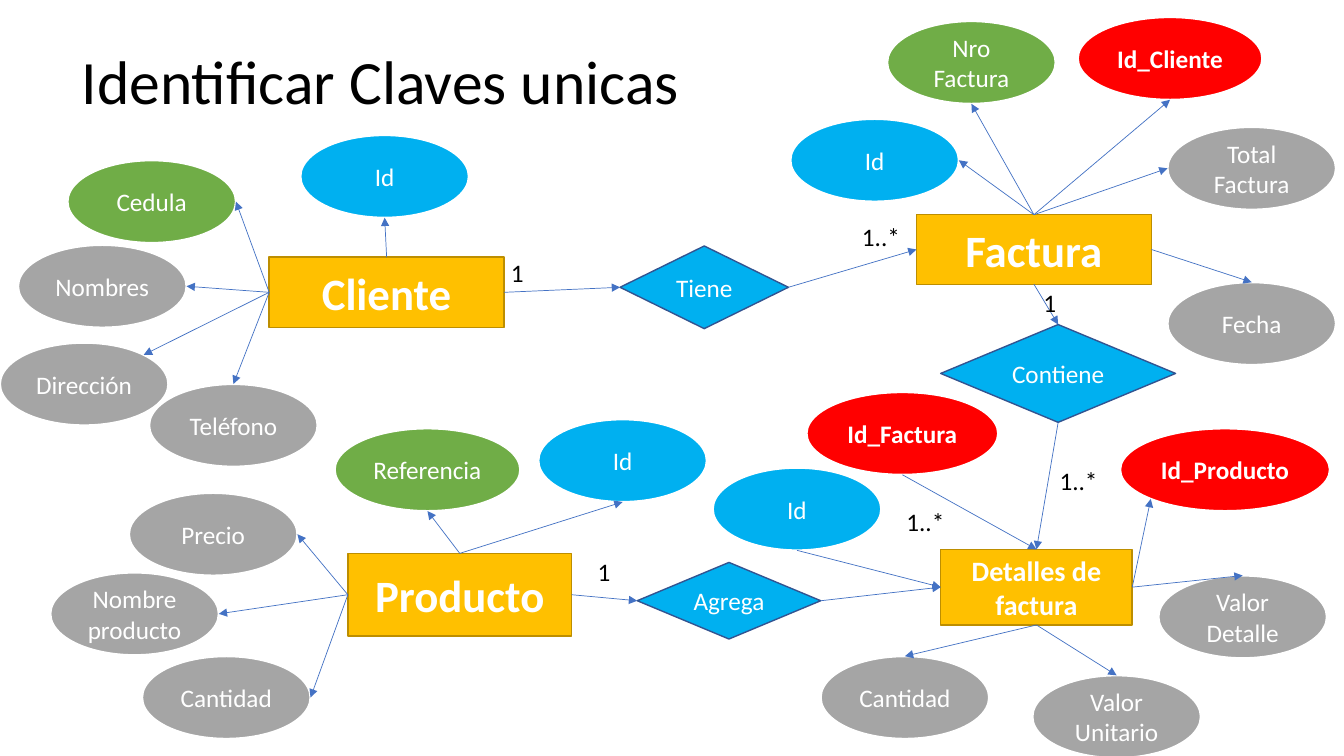
from dataclasses import dataclass
from lxml.etree import SubElement
from pptx import Presentation
from pptx.dml.color import RGBColor
from pptx.enum.shapes import MSO_CONNECTOR, MSO_SHAPE
from pptx.enum.text import MSO_ANCHOR, MSO_AUTO_SIZE, PP_ALIGN
from pptx.oxml.ns import qn
from pptx.util import Pt

PX = 9144


@dataclass(frozen=True)
class Theme:
    font: str = "Calibri"
    black: str = "000000"
    white: str = "FFFFFF"
    entity: str = "FFC000"
    entity_line: str = "BD8E00"
    relation: str = "00B0F0"
    relation_line: str = "325491"
    arrow: str = "4472C4"
    id: str = "00B0F0"
    unique: str = "70AD47"
    foreign: str = "FF0000"
    plain: str = "A5A5A5"
    title_size: int = 44
    entity_size: int = 32
    small_entity_size: int = 20
    text_size: int = 18


T = Theme()

OVAL_W, OVAL_H = 167, 82
DIAGONAL = 0.146
SITES = {
    "top": (0.5, 0), "left": (0, 0.5), "bottom": (0.5, 1), "right": (1, 0.5),
    "top right": (1 - DIAGONAL, DIAGONAL), "bottom left": (DIAGONAL, 1 - DIAGONAL),
}
BOX_SITES = ["top", "left", "bottom", "right"]
OVAL_SITES = ["top", "top left", "left", "bottom left",
              "bottom", "bottom right", "right", "top right"]

ENTITIES = {
    "Cliente": ((267, 255, 233, 70), T.entity_size, [
        ("Nombres", T.plain, -249, -12, OVAL_W, "left", "right"),
        ("Dirección", T.plain, -267, 85, OVAL_W, "left", "top right"),
        ("Teléfono", T.plain, -119, 126, OVAL_W, "left", "top"),
        ("Cedula", T.unique, -200, -96, OVAL_W, "left", "right"),
        ("Id", T.id, 31, -121, OVAL_W, "top", "bottom"),
    ]),
    "Factura": ((909, 213, 233, 69), T.entity_size, [
        ("Id_Cliente", T.foreign, 160, -196, 183, "top", "bottom"),
        ("Nro Factura", T.unique, -29, -192, OVAL_W, "top", "bottom"),
        ("Fecha", T.plain, 249, 67, OVAL_W, "right", "top"),
        ("Total Factura", T.plain, 249, -87, OVAL_W, "top", "left"),
        ("Id", T.id, -125, -95, OVAL_W, "top", "right"),
    ]),
    "Detalles de factura": ((933, 545, 190, 75), T.small_entity_size, [
        ("Cantidad", T.plain, -119, 106, OVAL_W, "bottom", "top"),
        ("Id_Producto", T.foreign, 178, -120, 208, "right", "bottom left"),
        ("Valor Unitario", T.plain, 91, 125, OVAL_W, "bottom", "top"),
        ("Valor Detalle", T.plain, 216, 26, OVAL_W, "right", "top"),
        ("Id", T.id, -226, -81, OVAL_W, "left", "bottom"),
        ("Id_Factura", T.foreign, -133, -156, 190, "top", "bottom"),
    ]),
    "Producto": ((345, 549, 222, 82), T.entity_size, [
        ("Nombre producto", T.plain, -295, 19, OVAL_W, "left", "right"),
        ("Cantidad", T.plain, -204, 102, OVAL_W, "left", "right"),
        ("Precio", T.plain, -217, -60, OVAL_W, "left", "right"),
        ("Referencia", T.unique, -13, -124, 184, "top", "bottom"),
        ("Id", T.id, 189, -133, OVAL_W, "top", "bottom"),
    ]),
}
INWARD = {("Detalles de factura", "Id"), ("Detalles de factura", "Id_Factura")}

RELATIONS = [
    ("Tiene", (615, 244, 167, 82), ("Cliente", "right", "left"),
     ("Factura", "right", "left"), [("1", -118, 6), ("1..*", 230, -29)]),
    ("Contiene", (933, 322, 233, 97), ("Factura", "bottom", "top"),
     ("Detalles de factura", "bottom", "top"), [("1", 92, -42), ("1..*", 108, 135)]),
    ("Agrega", (632, 558, 182, 76), ("Producto", "right", "left"),
     ("Detalles de factura", "right", "left"), [("1", -49, -11), ("1..*", 257, -61)]),
]


def emu(*lengths):
    return [n * PX for n in lengths]


def rgb(color):
    return RGBColor.from_string(color)


def write(tf, text, size, color, bold=False, align=PP_ALIGN.LEFT):
    tf.text = text
    p = tf.paragraphs[0]
    p.alignment = align
    p.font.name, p.font.size, p.font.bold = T.font, Pt(size), bold
    p.font.color.rgb = rgb(color)
    return p


def add_node(s, kind, box, text, fill, line, width, size=T.text_size, bold=False):
    sp = s.shapes.add_shape(kind, *emu(*box))
    sp.shadow.inherit = False
    sp.fill.solid()
    sp.fill.fore_color.rgb = rgb(fill)
    sp.line.color.rgb = rgb(line)
    sp.line.width = Pt(width)
    sp.text_frame.word_wrap = True
    sp.text_frame.vertical_anchor = MSO_ANCHOR.MIDDLE
    write(sp.text_frame, text, size, T.white, bold, PP_ALIGN.CENTER)
    return sp


def site_point(sp, side):
    fx, fy = SITES[side]
    return round(sp.left + fx * sp.width), round(sp.top + fy * sp.height)


def add_arrow(s, start, end):
    cxn = s.shapes.add_connector(
        MSO_CONNECTOR.STRAIGHT, *site_point(*start), *site_point(*end))
    cxn.line.color.rgb = rgb(T.arrow)
    cxn.line.width = Pt(0.5)
    props = cxn.element.find(".//" + qn("p:cNvCxnSpPr"))
    for tag, (sp, side) in (("a:stCxn", start), ("a:endCxn", end)):
        sites = OVAL_SITES if sp.auto_shape_type == MSO_SHAPE.OVAL else BOX_SITES
        SubElement(props, qn(tag), id=str(sp.shape_id), idx=str(sites.index(side)))
    sp_pr = cxn.element.find(qn("p:spPr"))
    SubElement(sp_pr.find(qn("a:ln")), qn("a:tailEnd"), type="triangle")
    SubElement(sp_pr, qn("a:effectLst"))


def add_title(s, box, text):
    sp = s.shapes.title
    sp.left, sp.top, sp.width, sp.height = emu(*box)
    tf = sp.text_frame
    tf.word_wrap = True
    tf.auto_size = MSO_AUTO_SIZE.NONE
    tf.vertical_anchor = MSO_ANCHOR.MIDDLE
    write(tf, text, T.title_size, T.black).line_spacing = 0.9


def add_entity(s, box, name, size, attributes):
    x, y, w, h = box
    entity = add_node(s, MSO_SHAPE.RECTANGLE, box, name, T.entity,
                      T.entity_line, 1, size, True)
    for text, fill, dx, dy, oval_w, side, oval_side in attributes:
        oval = add_node(s, MSO_SHAPE.OVAL, (x + dx, y + dy, oval_w, OVAL_H), text,
                        fill, T.white, 1.5, bold=fill == T.foreign)
        ends = [(entity, side), (oval, oval_side)]
        if (name, text) in INWARD:
            ends.reverse()
        add_arrow(s, *ends)
    return entity


def add_relation(s, box, name, source, target, labels):
    x, y, w, h = box
    diamond = add_node(s, MSO_SHAPE.FLOWCHART_DECISION, box, name,
                       T.relation, T.relation_line, 1)
    entity, side, diamond_side = source
    add_arrow(s, (entity, side), (diamond, diamond_side))
    entity, diamond_side, side = target
    add_arrow(s, (diamond, diamond_side), (entity, side))
    for text, dx, dy in labels:
        width = 33 if text == "1" else 58
        tf = s.shapes.add_textbox(*emu(x + dx, y + dy, width, 40)).text_frame
        tf.word_wrap = False
        tf.auto_size = MSO_AUTO_SIZE.SHAPE_TO_FIT_TEXT
        write(tf, text, T.text_size, T.black)


def main():
    prs = Presentation()
    prs.slide_width, prs.slide_height = emu(1333, 750)
    s = prs.slides.add_slide(prs.slide_layouts[5])
    add_title(s, (71, 11, 723, 145), "Identificar Claves unicas")
    entities = {name: add_entity(s, box, name, size, attributes)
                for name, (box, size, attributes) in ENTITIES.items()}
    for name, box, (source, *out_sides), (target, *in_sides), labels in RELATIONS:
        add_relation(s, box, name, (entities[source], *out_sides),
                     (entities[target], *in_sides), labels)
    prs.save("out.pptx")


if __name__ == "__main__":
    main()
